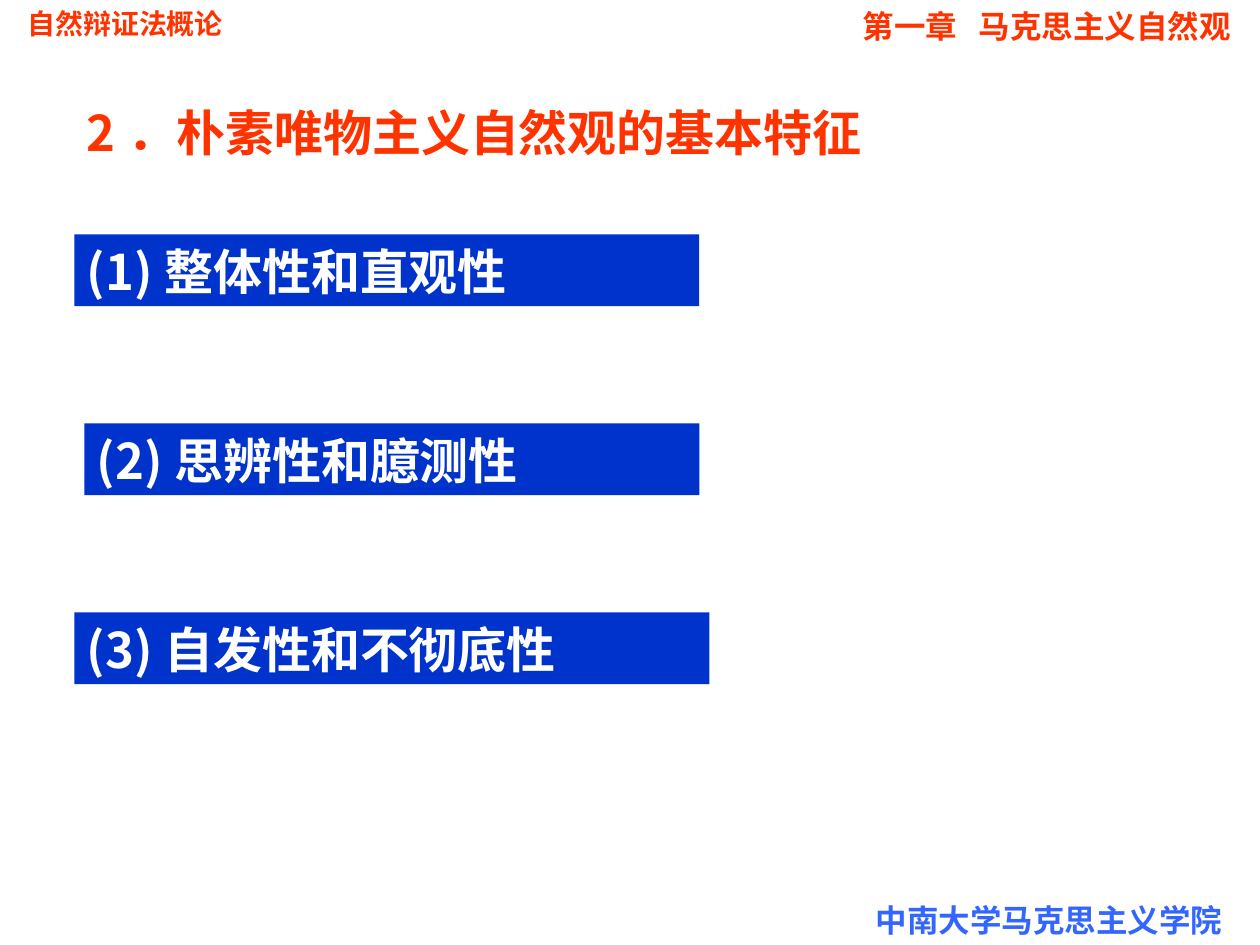
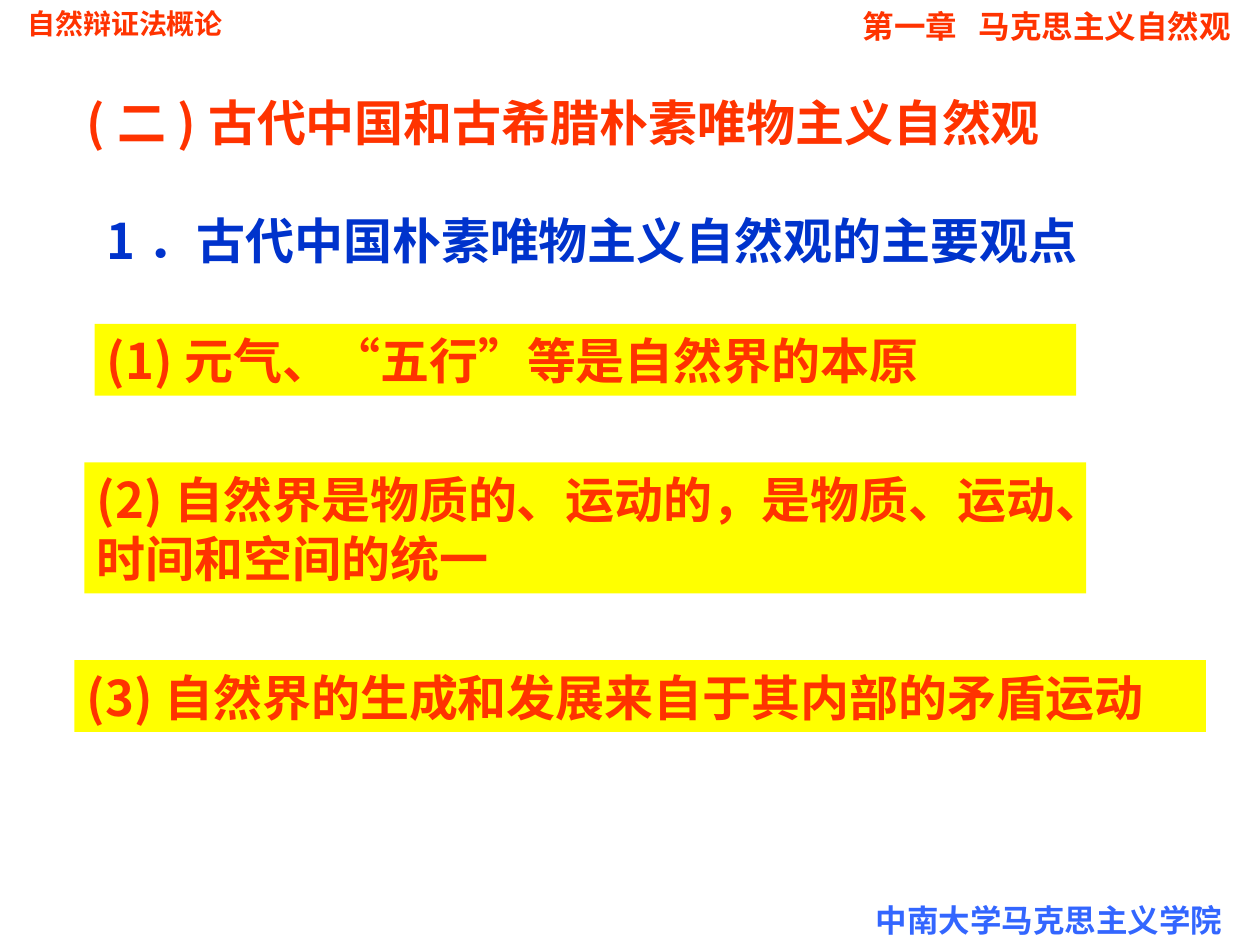
from dataclasses import dataclass

from lxml.etree import SubElement
from pptx import Presentation
from pptx.dml.color import RGBColor
from pptx.enum.shapes import MSO_SHAPE
from pptx.enum.text import MSO_ANCHOR, MSO_AUTO_SIZE, PP_ALIGN
from pptx.oxml.ns import qn
from pptx.shapes.autoshape import Shape
from pptx.slide import Slide
from pptx.util import Inches, Pt

RED, BLUE, SKY = "FF3300", "0033CC", "3366FF"
YELLOW, WHITE = "FFFF00", "FFFFFF"
LATIN, CJK = "Arial", "Noto Sans CJK SC"
HEADING_SIZE = 28
LINE_RATIO = 1.21
LINE_HEIGHT = 0.57
CHAPTER_TAB = 0.92


@dataclass(frozen=True)
class Label:
    text: str
    left: float
    top: float
    width: float
    height: float = LINE_HEIGHT
    color: str = RED
    size: int = HEADING_SIZE
    font: str = CJK


@dataclass(frozen=True)
class Point:
    text: str
    left: float
    width: float
    height: float = LINE_HEIGHT


@dataclass(frozen=True)
class PointList:
    top: float
    gap: float
    fill: str
    color: str
    points: tuple[Point, ...]


@dataclass(frozen=True)
class Page:
    title: Label
    subtitles: tuple[Label, ...]
    features: PointList


RUNNING_LABELS = (
    Label("自然辩证法概论", 0.12, 0, 3.78, 0.37, RED, 16, LATIN),
    Label("中南大学马克思主义学院", 6.85, 7.1, 3.15, 0.4, SKY, 18, LATIN),
    Label("第一章\t马克思主义自然观", 6.75, 0, 3.25, 0.4, RED, 18, LATIN),
)

PAGES = (
    Page(
        Label("2．朴素唯物主义自然观的基本特征", 0.59, 0.76, 7.8),
        (),
        PointList(1.86, 0.93, BLUE, WHITE, (
            Point("(1)整体性和直观性", 0.59, 4.96),
            Point("(2)思辨性和臆测性", 0.67, 4.88),
            Point("(3)自发性和不彻底性", 0.59, 5.04),
        )),
    ),
    Page(
        Label("(二)古代中国和古希腊朴素唯物主义自然观", 0.59, 0.68, 8.27),
        (Label("1．古代中国朴素唯物主义自然观的主要观点", 0.75, 1.62, 8.82, color=BLUE),),
        PointList(2.57, 0.53, YELLOW, RED, (
            Point("(1)元气、“五行”等是自然界的本原", 0.75, 7.79),
            Point("(2)自然界是物质的、运动的，是物质、运动、时间和空间的统一", 0.67, 7.95, 1.04),
            Point("(3)自然界的生成和发展来自于其内部的矛盾运动", 0.59, 8.98),
        )),
    ),
)


def rgb(color: str) -> RGBColor:
    return RGBColor.from_string(color)


def write(shape: Shape, label: Label) -> None:
    frame = shape.text_frame
    frame.text = label.text
    frame.word_wrap = True
    frame.auto_size = MSO_AUTO_SIZE.NONE
    frame.vertical_anchor = MSO_ANCHOR.MIDDLE
    frame.margin_left = frame.margin_right = Inches(0.1)
    frame.margin_top = frame.margin_bottom = Inches(0.05)
    paragraph = frame.paragraphs[0]
    paragraph.alignment = PP_ALIGN.LEFT
    paragraph.space_before = Pt(0)
    paragraph.line_spacing = Pt(round(label.size * LINE_RATIO))
    if "\t" in label.text:
        tabs = SubElement(paragraph._p.get_or_add_pPr(), qn("a:tabLst"))
        SubElement(tabs, qn("a:tab"), pos=str(Inches(CHAPTER_TAB)), algn="l")
    for run in paragraph.runs:
        font = run.font
        font.name = label.font
        font.size = Pt(label.size)
        font.bold = True
        font.color.rgb = rgb(label.color)
        SubElement(run._r.get_or_add_rPr(), qn("a:ea"), typeface=CJK)


def bounds(label: Label) -> tuple[int, int, int, int]:
    return (Inches(label.left), Inches(label.top),
            Inches(label.width), Inches(label.height))


def add_label(slide: Slide, label: Label) -> None:
    write(slide.shapes.add_textbox(*bounds(label)), label)


def set_title(slide: Slide, label: Label) -> None:
    title = slide.shapes.title
    title.left, title.top, title.width, title.height = bounds(label)
    write(title, label)


def add_points(slide: Slide, features: PointList) -> None:
    top = features.top
    for point in features.points:
        label = Label(point.text, point.left, top, point.width, point.height, features.color)
        bar = slide.shapes.add_shape(MSO_SHAPE.RECTANGLE, *bounds(label))
        bar.shadow.inherit = False
        bar.fill.solid()
        bar.fill.fore_color.rgb = rgb(features.fill)
        bar.line.fill.background()
        write(bar, label)
        top += point.height + features.gap


def main() -> None:
    deck = Presentation()
    deck.slide_width, deck.slide_height = Inches(10), Inches(7.5)
    title_only = deck.slide_layouts[5]
    for page in PAGES:
        slide = deck.slides.add_slide(title_only)
        set_title(slide, page.title)
        for label in RUNNING_LABELS + page.subtitles:
            add_label(slide, label)
        add_points(slide, page.features)
    deck.save("out.pptx")


if __name__ == "__main__":
    main()
